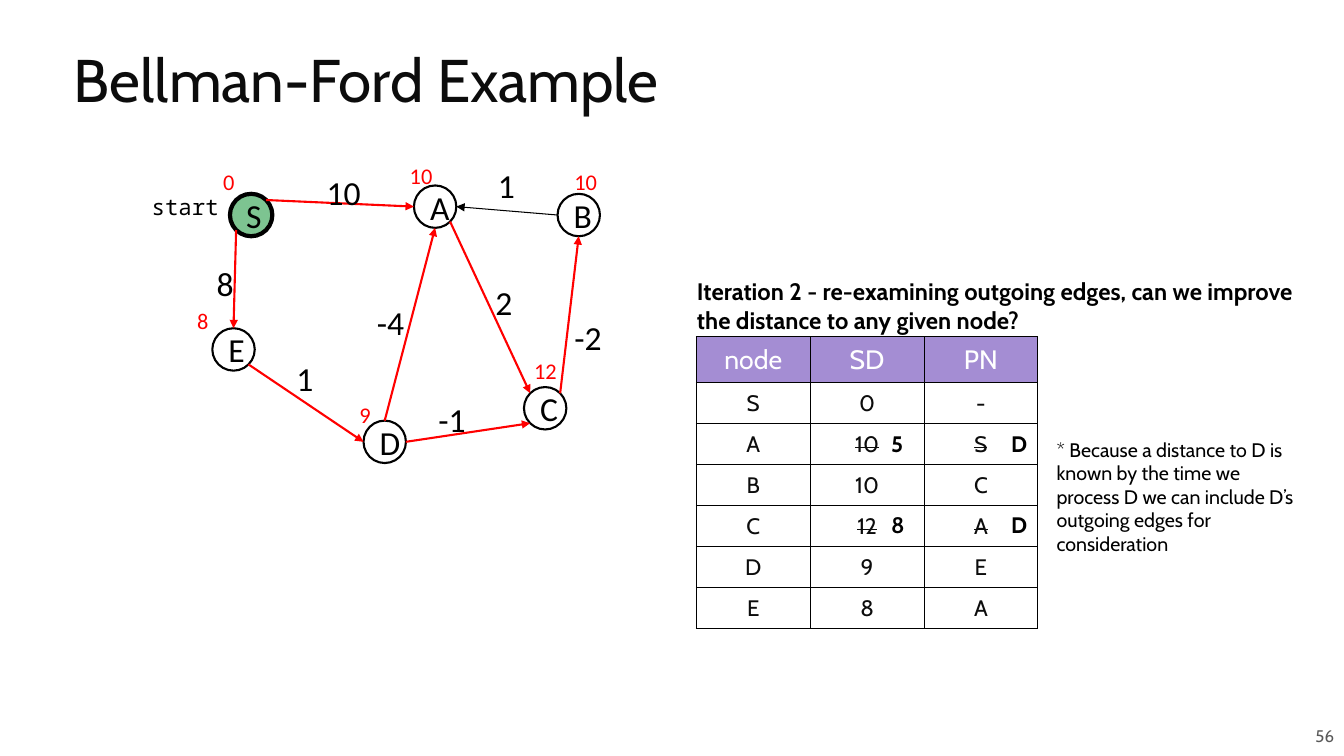
from math import cos, radians, sin

from lxml import etree
from pptx import Presentation
from pptx.dml.color import RGBColor
from pptx.enum.shapes import MSO_CONNECTOR, MSO_SHAPE
from pptx.enum.text import MSO_ANCHOR as Anchor, MSO_AUTO_SIZE as AutoSize, PP_ALIGN as Align
from pptx.oxml.ns import qn
from pptx.util import Inches, Pt

COLUMNS, ROWS = 160, 90
CELL = 1 / 12
BLACK, INK, WHITE, RED = "000000", "0C0C0C", "FFFFFF", "FF0000"
GREEN, PURPLE, GREY = "7DC491", "A48DD3", "595959"

NODE_SIZE = 5.05
NODES = {"S": (29.9, 25.6), "A": (51.8, 24.6), "E": (27.8, 41.6),
         "D": (45.8, 52.6), "B": (68.9, 25.6), "C": (64.9, 48.6)}
# From node, angle of departure, to node, angle of arrival (clockwise from the right)
EDGES = [("S", 135, "E", 270), ("E", 45, "D", 180), ("S", 315, "A", 180),
         ("B", 180, "A", 0), ("C", 315, "B", 90), ("A", 45, "C", 225),
         ("D", 270, "A", 90), ("D", 0, "C", 135)]
WEIGHTS = [("10", 37.7, 19.9), ("1", 58.1, 19), ("2", 57.8, 33), ("-2", 67.2, 37.1),
           ("-1", 51, 46.9), ("1", 34.1, 42), ("8", 24.6, 30.7), ("-4", 43.7, 35.4)]
DISTANCES = [("10", 47.6, 18.7), ("10", 67.2, 19.4), ("9", 41.6, 47.2),
             ("8", 22.3, 36), ("12", 62.4, 41.9), ("0", 25.4, 19.4)]

TABLE_LEFT, TABLE_TOP = 82.9, 40.1
COLUMN_WIDTH, HEADER_HEIGHT, ROW_HEIGHT = 13.55, 5.4, 4.83
TABLE = [("node", "SD", "PN"), ("S", "0", "-"), ("A", "10", "S"), ("B", "10", "C"),
         ("C", "12", "A"), ("D", "9", "E"), ("E", "8", "A")]
UPDATES = {"A": ("5", "D"), "C": ("8", "D")}
UPDATE_LEFTS = (104.9, 119.2)


def grid(*cells):
    return [Inches(cell * CELL) for cell in cells]


def color(hex_string):
    return RGBColor.from_string(hex_string)


def write(frame, text, size, font="Cabin", ink=BLACK, bold=False, align=Align.LEFT):
    frame.text = text
    paragraph = frame.paragraphs[0]
    paragraph.alignment = align
    run = paragraph.runs[0]
    run.font.size, run.font.name, run.font.bold = Pt(size), font, bold
    run.font.color.rgb = color(ink)
    return run


def set_insets(frame, side, top):
    frame.margin_left = frame.margin_right = Inches(side)
    frame.margin_top = frame.margin_bottom = Inches(top)


def add_text(slide, box, text, size, inset=0.1, anchor=Anchor.TOP, **style):
    frame = slide.shapes.add_textbox(*grid(*box)).text_frame
    frame.word_wrap = True
    frame.vertical_anchor = anchor
    set_insets(frame, max(inset, 0.1), inset)
    write(frame, text, size, **style)


def add_title(slide, text):
    title = slide.shapes.title
    title.left, title.top, title.width, title.height = grid(7.6, 3.5, 146.8, 13.3)
    frame = title.text_frame
    frame.auto_size = AutoSize.NONE
    frame.vertical_anchor = Anchor.MIDDLE
    set_insets(frame, 0.1, 0.05)
    write(frame, text, 43, ink=INK)
    frame.paragraphs[0].line_spacing = 0.8


def add_node(slide, name, center_x, center_y):
    radius = NODE_SIZE / 2
    node = slide.shapes.add_shape(MSO_SHAPE.OVAL, *grid(
        center_x - radius, center_y - radius, NODE_SIZE, NODE_SIZE))
    node.shadow.inherit = False
    is_start = name == "S"
    if is_start:
        node.fill.solid()
        node.fill.fore_color.rgb = color(GREEN)
    else:
        node.fill.background()
    node.line.color.rgb = color(BLACK)
    node.line.width = Pt(3 if is_start else 1.5)
    frame = node.text_frame
    frame.vertical_anchor = Anchor.MIDDLE
    frame.word_wrap = True
    set_insets(frame, 0.1, 0.05)
    write(frame, name, 24, font="Calibri", align=Align.CENTER)


def rim_point(name, angle):
    center_x, center_y = NODES[name]
    return grid(center_x + NODE_SIZE / 2 * cos(radians(angle)),
                center_y + NODE_SIZE / 2 * sin(radians(angle)))


def add_edge(slide, source, departure, target, arrival):
    edge = slide.shapes.add_connector(
        MSO_CONNECTOR.STRAIGHT, *rim_point(source, departure), *rim_point(target, arrival))
    on_shortest_path = source != "B"
    edge.line.color.rgb = color(RED if on_shortest_path else BLACK)
    edge.line.width = Pt(1.5 if on_shortest_path else 0.75)
    etree.SubElement(edge.line._get_or_add_ln(), qn("a:tailEnd"), type="triangle")
    etree.SubElement(edge._element.spPr, qn("a:effectLst"))


def add_borders(cell):
    properties = cell._tc.get_or_add_tcPr()
    for index, side in enumerate("LRTB"):
        border = etree.Element(qn(f"a:ln{side}"), w=str(Pt(0.75)))
        fill = etree.SubElement(border, qn("a:solidFill"))
        etree.SubElement(fill, qn("a:srgbClr"), val=BLACK)
        properties.insert(index, border)


def add_distance_table(slide):
    height = HEADER_HEIGHT + ROW_HEIGHT * (len(TABLE) - 1)
    table = slide.shapes.add_table(len(TABLE), 3, *grid(
        TABLE_LEFT, TABLE_TOP, COLUMN_WIDTH * 3, height)).table
    table.horz_banding = False
    for row_index, values in enumerate(TABLE):
        is_header = row_index == 0
        table.rows[row_index].height = grid(HEADER_HEIGHT if is_header else ROW_HEIGHT)[0]
        for column_index, value in enumerate(values):
            cell = table.cell(row_index, column_index)
            cell.fill.solid()
            cell.fill.fore_color.rgb = color(PURPLE if is_header else WHITE)
            cell.vertical_anchor = Anchor.MIDDLE
            set_insets(cell, 0.07, 0.07)
            run = write(cell.text_frame, value, 19 if is_header else 16,
                        ink=WHITE if is_header else INK, align=Align.CENTER)
            if column_index and values[0] in UPDATES:
                run._r.get_or_add_rPr().set("strike", "sngStrike")
            add_borders(cell)


def add_updates(slide):
    """Write the improved values beside the struck-out ones."""
    names = [row[0] for row in TABLE]
    for name, values in UPDATES.items():
        middle = TABLE_TOP + HEADER_HEIGHT + (names.index(name) - 0.5) * ROW_HEIGHT
        for left, value in zip(UPDATE_LEFTS, values):
            add_text(slide, (left, middle - 2.8, 4.3, 5.6), value, 16, bold=True)


def main():
    presentation = Presentation()
    presentation.slide_width, presentation.slide_height = grid(COLUMNS, ROWS)
    slide = presentation.slides.add_slide(presentation.slide_layouts[5])
    add_text(slide, (103.8, 85.2, 56.2, 4.8), "56", 12, ink=GREY,
             anchor=Anchor.MIDDLE, align=Align.RIGHT)
    add_title(slide, "Bellman-Ford Example")
    add_distance_table(slide)
    add_text(slide, (14.9, 21.4, 12.7, 6.2), "start", 16, inset=0.13,
             font="Noto Sans Mono", align=Align.RIGHT)
    for name, center in NODES.items():
        add_node(slide, name, *center)
    for edge in EDGES:
        add_edge(slide, *edge)
    for labels, size, height, ink in ((WEIGHTS, 24, 6, BLACK), (DISTANCES, 16, 4.4, RED)):
        for text, left, top in labels:
            add_text(slide, (left, top, 6.5, height), text, size, inset=0.05,
                     font="Calibri", ink=ink)
    add_text(slide, (81.8, 31.8, 74.6, 9.2),
             "Iteration 2 - re-examining outgoing edges, can we improve "
             "the distance to any given node?", 17, bold=True)
    add_updates(slide)
    add_text(slide, (124.6, 50.9, 31.1, 16.6),
             "* Because a distance to D is known by the time we process D "
             "we can include D’s outgoing edges for consideration", 14)
    presentation.save("out.pptx")


if __name__ == "__main__":
    main()
